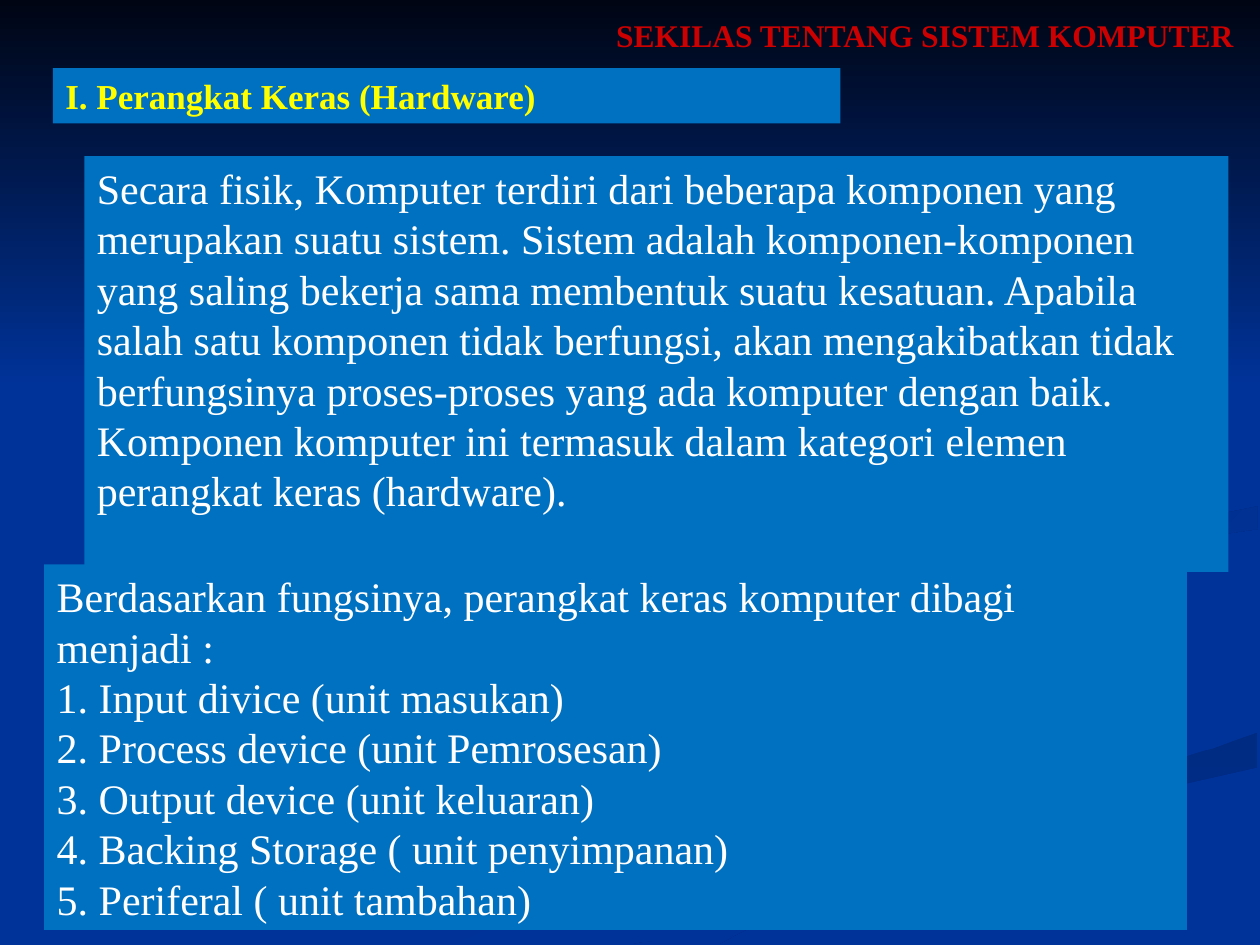
from pptx import Presentation
from pptx.dml.color import RGBColor
from pptx.enum.shapes import MSO_SHAPE
from pptx.enum.text import MSO_ANCHOR, MSO_AUTO_SIZE, PP_ALIGN
from pptx.oxml.ns import qn
from pptx.util import Inches, Pt

NAVY = RGBColor(0x00, 0x33, 0x99)
DEEP_NAVY = RGBColor(0x00, 0x2B, 0x82)
NIGHT = RGBColor(0x00, 0x05, 0x14)
PANEL_BLUE = RGBColor(0x00, 0x70, 0xC0)
WHITE = RGBColor(0xFF, 0xFF, 0xFF)
RED = RGBColor(0xCC, 0x00, 0x00)
YELLOW = RGBColor(0xFF, 0xFF, 0x00)
FONT = "Times New Roman"

TITLE = "SEKILAS TENTANG SISTEM KOMPUTER"
HEADING = "I. Perangkat Keras (Hardware)"
DESCRIPTION = (
    "Secara fisik, Komputer terdiri dari beberapa komponen yang merupakan suatu sistem. "
    "Sistem adalah komponen-komponen yang saling bekerja sama membentuk suatu kesatuan. "
    "Apabila salah satu komponen tidak berfungsi, akan mengakibatkan tidak berfungsinya "
    "proses-proses yang ada komputer dengan baik. Komponen komputer ini termasuk dalam "
    "kategori elemen perangkat keras (hardware)."
)
FUNCTIONS = [
    "Berdasarkan fungsinya, perangkat keras komputer dibagi menjadi :",
    "1. Input divice (unit masukan)",
    "2. Process device (unit Pemrosesan)",
    "3. Output device (unit keluaran)",
    "4. Backing Storage ( unit penyimpanan)",
    "5. Periferal ( unit tambahan)",
]

# Background ribbons: start colour, end colour, downward angle, outline in inches
RIBBONS = [
    (NAVY, DEEP_NAVY, 0, [
        (7.81, 5.53), (7.45, 5.38), (6.82, 5.19), (6.26, 5.02), (5.87, 4.81), (5.75, 4.59),
        (5.7, 4.72), (5.93, 4.91), (6.54, 5.13), (7.28, 5.35), (7.76, 5.53), (7.86, 5.66),
        (7.67, 5.87), (7.14, 6.05), (6.16, 6.29), (4.99, 6.61), (3.76, 7.07), (3, 7.49),
        (3.61, 7.49), (4.66, 7), (5.64, 6.65), (6.76, 6.34), (7.56, 6.14), (7.91, 5.97),
        (8, 5.81), (7.92, 5.61)]),
    (DEEP_NAVY, NAVY, 90, [
        (5.03, 7.49), (5.71, 7.49), (6.14, 7.26), (6.7, 7.02), (7.52, 6.72), (8.61, 6.4),
        (9.98, 6.09), (9.98, 5.81), (9.63, 5.94), (9.03, 6.1), (7.64, 6.47), (6.3, 6.93),
        (5.69, 7.19), (5.19, 7.47)]),
    (NAVY, NAVY, 0, [
        (7.25, 4.64), (7.34, 4.83), (7.75, 5.03), (8.51, 5.24), (9.2, 5.47), (9.43, 5.7),
        (9.31, 5.9), (8.92, 6.05), (7.8, 6.34), (6.63, 6.68), (5.73, 7.03), (4.77, 7.49),
        (5.19, 7.47), (5.99, 7.06), (6.96, 6.69), (8.32, 6.29), (9.36, 6.02), (9.99, 5.81),
        (9.99, 5.38), (9.23, 5.23), (8.32, 4.98), (7.86, 4.73), (7.86, 4.53), (8.22, 4.34),
        (8.99, 4.18), (9.99, 4.02), (9.99, 3.87), (9.2, 4.01), (8.08, 4.17), (7.42, 4.39)]),
    (DEEP_NAVY, NAVY, 45, [
        (7.81, 4.6), (7.86, 4.74), (8.06, 4.87), (8.26, 4.96), (8.05, 4.76), (8.16, 4.59),
        (8.59, 4.43), (9.36, 4.29), (9.98, 4.2), (9.98, 4.02), (9.33, 4.15), (8.49, 4.27),
        (7.99, 4.42)]),
    (NIGHT, NAVY, 90, [(0, 0), (0, 3.08), (10, 3.08), (10, 0)]),
]


def add_ribbon(page, start, end, angle, outline):
    points = [(Inches(x), Inches(y)) for x, y in outline]
    builder = page.shapes.build_freeform(*points[0])
    builder.add_line_segments(points[1:], close=True)
    ribbon = builder.convert_to_shape()
    ribbon.shadow.inherit = False
    ribbon.line.fill.background()
    if start == end:
        ribbon.fill.solid()
        ribbon.fill.fore_color.rgb = start
        return
    ribbon.fill.gradient()
    ribbon.fill.gradient_angle = -angle % 360
    for stop, color, position in zip(ribbon.fill.gradient_stops, (start, end), (0, 1)):
        stop.color.rgb = color
        stop.position = position


def set_text(shape, lines, size, color, bold=False, hanging=0):
    frame = shape.text_frame
    frame.text = "\n".join(lines)
    frame.word_wrap = True
    frame.auto_size = MSO_AUTO_SIZE.NONE
    frame.vertical_anchor = MSO_ANCHOR.TOP
    for para in frame.paragraphs:
        para.alignment = PP_ALIGN.LEFT
        para.space_before = Pt(0)
        properties = para._p.get_or_add_pPr()
        properties.set("marL", str(Inches(hanging)))
        properties.set("indent", str(-Inches(hanging)))
        properties.append(properties.makeelement(qn("a:buNone"), {}))
        for span in para.runs:
            span.font.name = FONT
            span.font.size = Pt(size)
            span.font.bold = bold
            span.font.color.rgb = color


def place(shape, left, top, width, height):
    """Move the shape to its position and bring it to the front."""
    shape.left, shape.top = Inches(left), Inches(top)
    shape.width, shape.height = Inches(width), Inches(height)
    shape.element.getparent().append(shape.element)


def fill_panel(shape):
    shape.fill.solid()
    shape.fill.fore_color.rgb = PANEL_BLUE


def add_panel(page, left, top, width, height):
    panel = page.shapes.add_shape(
        MSO_SHAPE.RECTANGLE, Inches(left), Inches(top), Inches(width), Inches(height))
    panel.shadow.inherit = False
    panel.line.fill.background()
    fill_panel(panel)
    return panel


def main():
    deck = Presentation()
    deck.slide_width, deck.slide_height = Inches(10), Inches(7.5)
    page = deck.slides.add_slide(deck.slide_layouts[1])
    page.background.fill.solid()
    page.background.fill.fore_color.rgb = NAVY
    for ribbon in RIBBONS:
        add_ribbon(page, *ribbon)

    set_text(add_panel(page, 0.67, 1.24, 9.08, 3.3), [DESCRIPTION], 24, WHITE)

    body = page.placeholders[1]
    place(body, 0.35, 4.48, 9.07, 2.9)
    fill_panel(body)
    set_text(body, FUNCTIONS, 24, WHITE)

    title = page.shapes.title
    place(title, 4.79, 0.08, 5.13, 0.7)
    set_text(title, [TITLE], 18, RED, bold=True, hanging=0.67)

    set_text(add_panel(page, 0.42, 0.54, 6.25, 0.44), [HEADING], 20, YELLOW, bold=True)
    deck.save("out.pptx")


if __name__ == "__main__":
    main()
